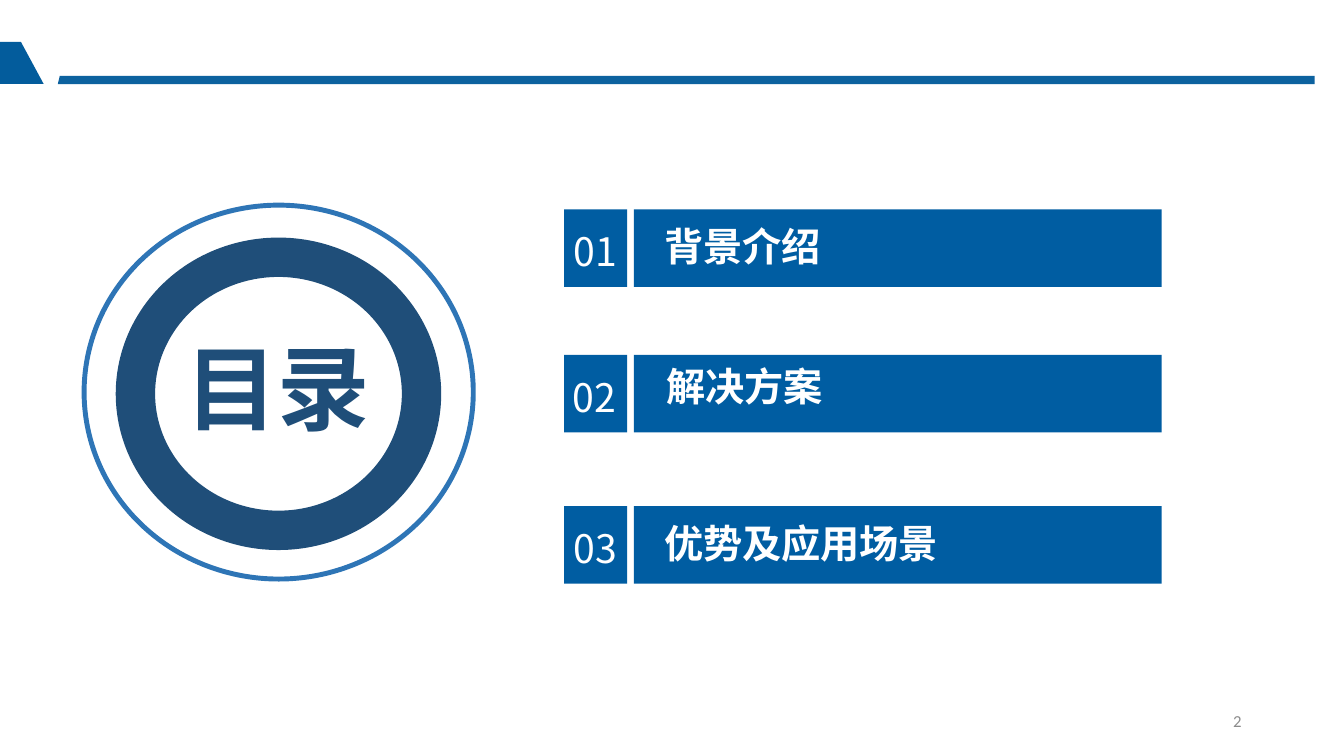
"""Build the contents slide: header band, ringed title and three numbered sections."""
import pptx
import pptx.dml.color
import pptx.enum.shapes
import pptx.enum.text
import pptx.oxml
import pptx.oxml.ns
import pptx.util
from pptx.util import Pt

COLORS = {
    "header": "035C9C",
    "bar": "005DA2",
    "ring": "2E75B6",
    "navy": "1F4E79",
    "white": "FFFFFF",
    "gray": "8C8C8C",
}
CHINESE_FONT = "Noto Sans CJK SC"
SHAPES = pptx.enum.shapes.MSO_SHAPE
ANCHORS = pptx.enum.text.MSO_ANCHOR
ALIGNMENTS = pptx.enum.text.PP_ALIGN


def paint(shape, color):
    """Give a shape a plain fill with no line or shadow."""
    shape.shadow.inherit = False
    shape.fill.solid()
    shape.fill.fore_color.rgb = pptx.dml.color.RGBColor.from_string(COLORS[color])
    shape.line.fill.background()


def write(shape, text, size, color, bold=False, font_name=CHINESE_FONT,
          align=ALIGNMENTS.LEFT, anchor=ANCHORS.TOP):
    """Fill a text shape with one formatted paragraph."""
    frame = shape.text_frame
    frame.word_wrap = True
    frame.auto_size = pptx.enum.text.MSO_AUTO_SIZE.NONE
    frame.vertical_anchor = anchor
    frame.text = text
    paragraph = frame.paragraphs[0]
    paragraph.alignment = align
    font = paragraph.font
    font.name = font_name
    font.size = Pt(size)
    font.bold = bold
    font.color.rgb = pptx.dml.color.RGBColor.from_string(COLORS[color])
    properties = paragraph._p.pPr.find(pptx.oxml.ns.qn("a:defRPr"))
    east_asian = pptx.oxml.parse_xml(
        f'<a:ea {pptx.oxml.ns.nsdecls("a")} typeface="{font_name}"/>')
    properties.append(east_asian)


presentation = pptx.Presentation()
presentation.slide_width = Pt(960)
presentation.slide_height = Pt(540)
slide = presentation.slides.add_slide(presentation.slide_layouts[5])
shapes = slide.shapes

title = shapes.title
title.left, title.top, title.width, title.height = Pt(125.3), Pt(232.6), Pt(177), Pt(98)
write(title, "目录", 66, "navy", bold=True)

page_number = shapes.add_textbox(Pt(678), Pt(500.5), Pt(216), Pt(28.75))
write(page_number, "2", 12, "gray", font_name="Calibri",
      align=ALIGNMENTS.RIGHT, anchor=ANCHORS.MIDDLE)

header_outlines = [
    [(41.3, 60), (939, 60), (939, 54.2), (42.7, 54.2)],
    [(15, 30), (31.2, 60), (-1.5, 60), (-1.5, 30)],
]
header_parts = []
for outline in header_outlines:
    points = [(Pt(x), Pt(y)) for x, y in outline]
    builder = shapes.build_freeform(*points[0])
    builder.add_line_segments(points[1:], close=True)
    part = builder.convert_to_shape()
    paint(part, "header")
    header_parts.append(part)
rule_color = header_parts[0].fill._xPr.find(".//" + pptx.oxml.ns.qn("a:srgbClr"))
rule_color.append(pptx.oxml.parse_xml(
    f'<a:alpha {pptx.oxml.ns.nsdecls("a")} val="96000"/>'))

rings = [
    (58.3, 144.8, 281.5, 270.6, 0.013, "ring"),
    (82.7, 169.7, 232.5, 223.2, 0.126, "navy"),
]
for left, top, width, height, thickness, color in rings:
    ring = shapes.add_shape(SHAPES.DONUT, Pt(left), Pt(top), Pt(width), Pt(height))
    ring.adjustments[0] = thickness
    paint(ring, color)

sections = [
    ("01", "背景介绍", 149.5, 402.5, 467.3, 5.9),
    ("02", "解决方案", 253.5, 401.8, 468.7, 2),
    ("03", "优势及应用场景", 361.5, 402.5, 467.3, 6.2),
]
for number, label, top, number_left, label_left, label_drop in sections:
    for left, width in [(403, 45), (452.8, 377)]:
        bar = shapes.add_shape(SHAPES.RECTANGLE, Pt(left), Pt(top), Pt(width), Pt(55.4))
        paint(bar, "bar")
    number_box = shapes.add_textbox(Pt(number_left), Pt(top + 9.5), Pt(64), Pt(41))
    write(number_box, number, 28, "white")
    label_box = shapes.add_textbox(Pt(label_left), Pt(top + label_drop), Pt(218), Pt(41))
    write(label_box, label, 28, "white", bold=True)

presentation.save("out.pptx")
